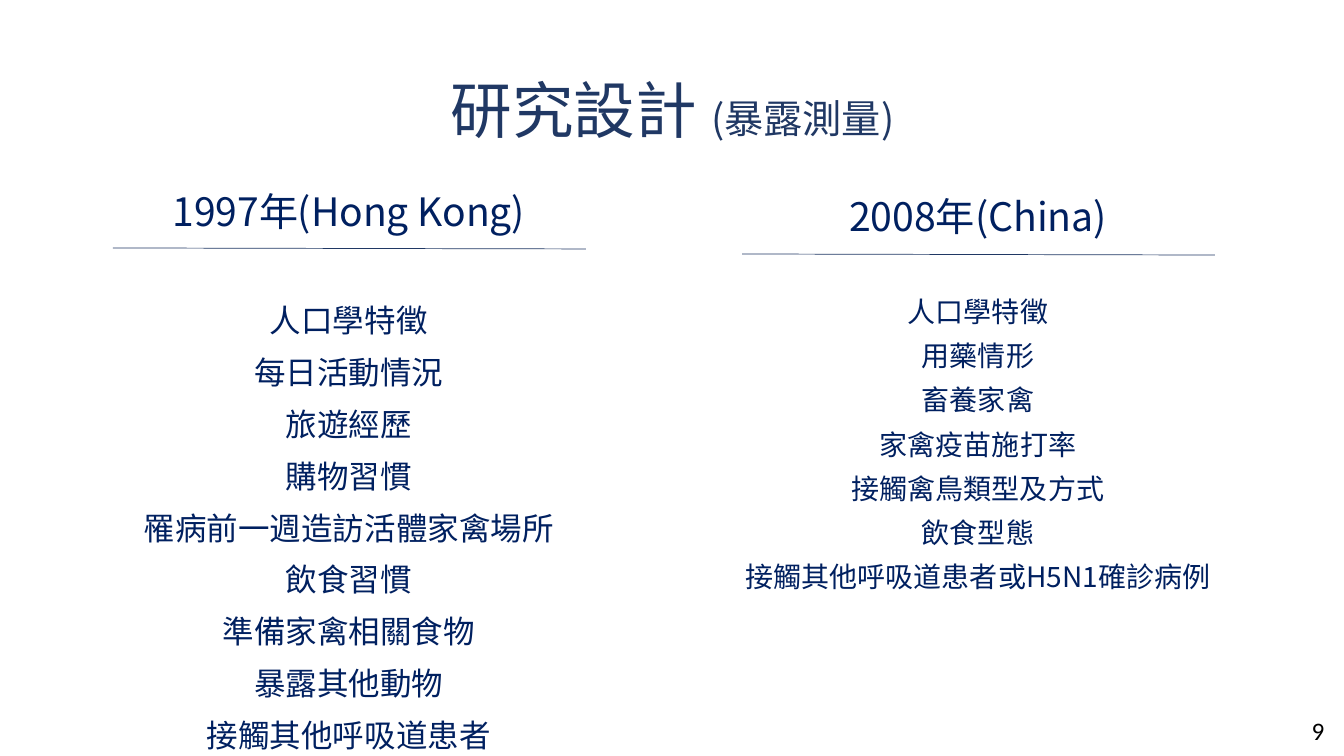
from lxml.etree import SubElement
from pptx import Presentation
from pptx.dml.color import RGBColor
from pptx.enum.shapes import MSO_CONNECTOR
from pptx.enum.text import MSO_ANCHOR, PP_ALIGN
from pptx.oxml.ns import qn
from pptx.util import Inches, Pt

COLORS = {"title": "203864", "body": "002060", "rule": "203864", "page": "000000"}
CJK = "Noto Sans CJK SC"
TITLE = [("研究設計 ", 44), ("(暴露測量)", 28)]
COLUMNS = [
    dict(head="1997年(Hong Kong)", head_size=27.9, left=0.36, width=6.2,
         head_top=1.81, rule=(1.12, 2.46), list_top=2.94, size=22.5, spacing=1.0,
         items=["人口學特徵", "每日活動情況", "旅遊經歷", "購物習慣",
                "罹病前一週造訪活體家禽場所", "飲食習慣", "準備家禽相關食物",
                "暴露其他動物", "接觸其他呼吸道患者"]),
    dict(head="2008年(China)", head_size=28, left=6.36, width=6.68,
         head_top=1.86, rule=(7.36, 2.52), list_top=2.91, size=20, spacing=0.9,
         items=["人口學特徵", "用藥情形", "畜養家禽", "家禽疫苗施打率",
                "接觸禽鳥類型及方式", "飲食型態", "接觸其他呼吸道患者或H5N1確診病例"]),
]
RULE_WIDTH, RULE_DROP = 4.69, 0.01
HEAD_HEIGHT, SLIDE_HEIGHT = 0.7, 7.5
ITEM_GAP = 10


def add_text(s, paragraphs, box, color, font=CJK, align=PP_ALIGN.CENTER,
             anchor=MSO_ANCHOR.TOP, spacing=1.0, gap=0, wrap=True):
    """Add a text box from paragraphs, each a list of (text, size) runs."""
    tf = s.shapes.add_textbox(*map(Inches, box)).text_frame
    tf.word_wrap = wrap
    tf.vertical_anchor = anchor
    for i, runs in enumerate(paragraphs):
        p = tf.paragraphs[0] if i == 0 else tf.add_paragraph()
        p.alignment = align
        p.line_spacing = spacing
        p.space_before = Pt(gap if i else 0)
        for text, size in runs:
            r = p.add_run()
            r.text = text
            r.font.size = Pt(size)
            r.font.name = font
            r.font.color.rgb = RGBColor.from_string(COLORS[color])
            SubElement(r.font._element, qn("a:ea")).set("typeface", font)


def add_rule(s, x, y):
    """Draw the thin line under a column heading."""
    ends = (x, y, x + RULE_WIDTH, y + RULE_DROP)
    line = s.shapes.add_connector(MSO_CONNECTOR.STRAIGHT, *map(Inches, ends))
    line.line.color.rgb = RGBColor.from_string(COLORS["rule"])
    line.line.width = Pt(0.5)
    SubElement(line._element.spPr, qn("a:effectLst"))


def main():
    """Build and save the slide."""
    prs = Presentation()
    prs.slide_width, prs.slide_height = Inches(13.33), Inches(SLIDE_HEIGHT)
    s = prs.slides.add_slide(prs.slide_layouts[6])
    add_text(s, [TITLE], (0.92, 0.4, 11.5, 1.45), "title",
             anchor=MSO_ANCHOR.MIDDLE, spacing=0.9)
    for col in COLUMNS:
        left, width, top = col["left"], col["width"], col["list_top"]
        add_text(s, [[(col["head"], col["head_size"])]],
                 (left, col["head_top"], width, HEAD_HEIGHT), "body")
        add_text(s, [[(item, col["size"])] for item in col["items"]],
                 (left, top, width, SLIDE_HEIGHT - top), "body",
                 spacing=col["spacing"], gap=ITEM_GAP)
        add_rule(s, *col["rule"])
    add_text(s, [[("9", 18)]], (12.91, 7.05, 0.33, 0.4), "page",
             font="Calibri", align=PP_ALIGN.LEFT, wrap=False)
    prs.save("out.pptx")


if __name__ == "__main__":
    main()
